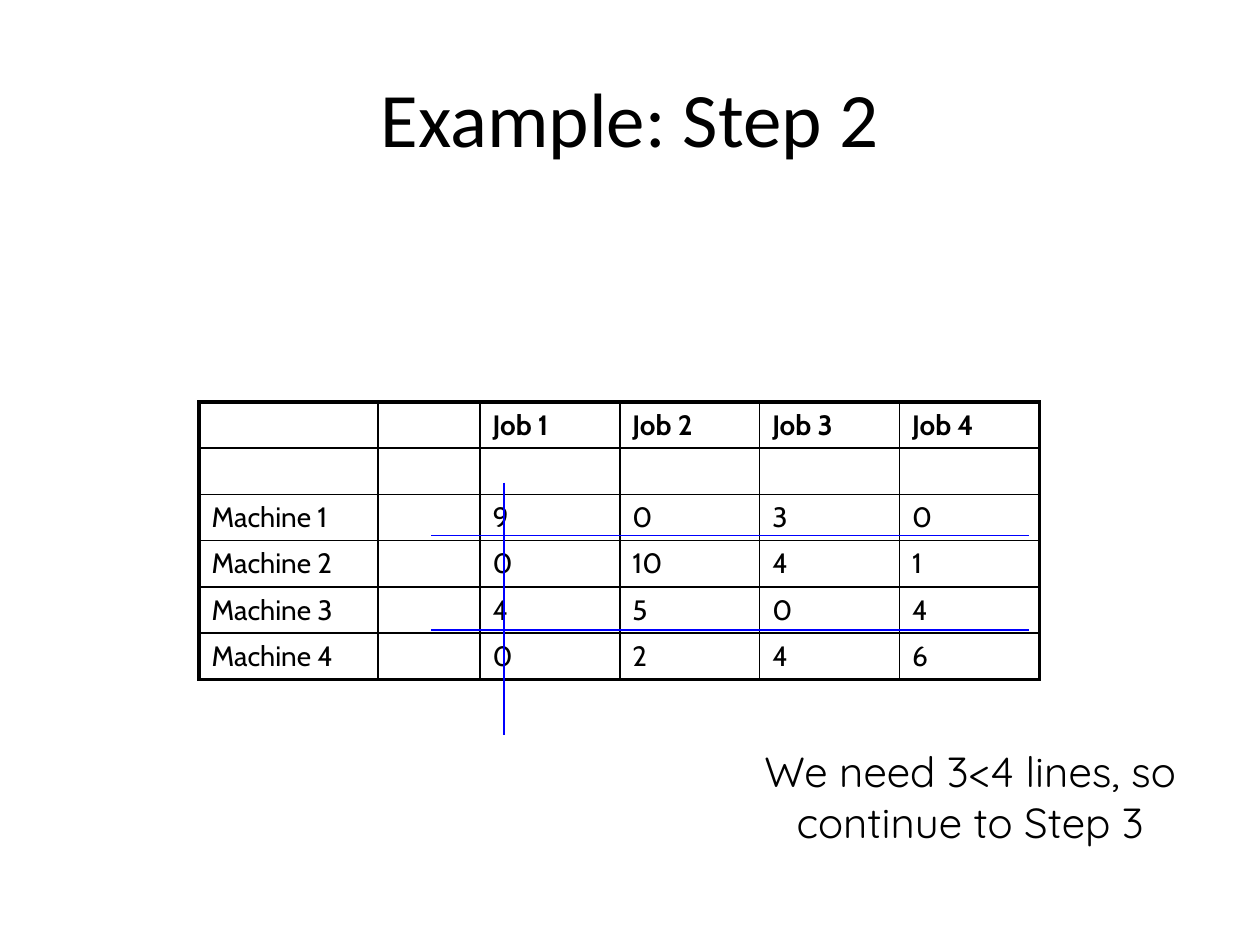
from dataclasses import dataclass
from lxml.etree import SubElement as Sub
from pptx import Presentation as Deck
from pptx.dml.color import RGBColor as Color
from pptx.enum.shapes import MSO_CONNECTOR as Link
from pptx.enum.text import MSO_ANCHOR as Anchor, PP_ALIGN as Align
from pptx.oxml.ns import qn
from pptx.util import Inches, Pt


@dataclass(frozen=True)
class Theme:
    ink: str = "000000"
    mark: str = "0000FF"
    head: str = "Calibri"
    body: str = "Cabin"
    note: str = "Quicksand"
    big: int = 44
    mid: int = 24
    small: int = 16
    thick: float = 2.25
    rule: float = 1
    thin: float = 0.75


def write(frame, text, font, size, color, bold=False, align=Align.LEFT, anchor=Anchor.TOP):
    frame.word_wrap = True
    frame.vertical_anchor = anchor
    para = frame.paragraphs[0]
    para.alignment = align
    if not text:
        Sub(para._p, qn("a:endParaRPr"), sz=str(size * 100))
        return
    run = para.add_run()
    run.text = text
    face = run.font
    face.name, face.size, face.bold = font, Pt(size), bold
    face.color.rgb = Color.from_string(color)


def edge(cell, side, width, color):
    line = Sub(cell._tc.get_or_add_tcPr(), qn("a:ln" + side), w=str(Pt(width)))
    fill = Sub(line, qn("a:solidFill"))
    Sub(fill, qn("a:srgbClr"), val=color)


class Page:
    def __init__(self, slide, theme):
        self.shapes = slide.shapes
        self.theme = theme

    def text(self, text, box, font, size, **form):
        shape = self.shapes.add_textbox(*map(Inches, box))
        write(shape.text_frame, text, font, size, self.theme.ink, align=Align.CENTER, **form)

    def line(self, x1, y1, x2, y2):
        line = self.shapes.add_connector(Link.STRAIGHT, *map(Inches, (x1, y1, x2, y2)))
        line.line.color.rgb = Color.from_string(self.theme.mark)
        line.line.width = Pt(self.theme.thin)
        Sub(line._element.spPr, qn("a:effectLst"))

    def table(self, rows, left, top, wide, high):
        look = self.theme
        last, end = len(rows) - 1, len(wide) - 1
        size = (left, top, sum(wide), high * len(rows))
        grid = self.shapes.add_table(len(rows), len(wide), *map(Inches, size)).table
        grid.first_row = grid.horz_banding = False
        for col, width in zip(grid.columns, wide):
            col.width = Inches(width)
        for i, row in enumerate(rows):
            grid.rows[i].height = Inches(high)
            for j, text in enumerate(row):
                cell = grid.cell(i, j)
                outer = {"L": j == 0, "R": j == end, "T": i == 0, "B": i == last}
                for side, out in outer.items():
                    edge(cell, side, look.thick if out else look.rule, look.ink)
                cell.fill.background()
                write(cell.text_frame, text, look.body, look.small, look.ink, bold=i == 0)


def main():
    deck = Deck()
    deck.slide_width, deck.slide_height = Inches(10), Inches(7.5)
    look = Theme()
    page = Page(deck.slides.add_slide(deck.slide_layouts[6]), look)

    page.text("Example: Step 2", (0.5, 0.3, 9, 1.25), look.head, look.big, anchor=Anchor.MIDDLE)

    costs = [(9, 0, 3, 0), (0, 10, 4, 1), (4, 5, 0, 4), (0, 2, 4, 6)]
    rows = [["", ""] + [f"Job {n}" for n in range(1, 5)], [""] * 6]
    rows += [[f"Machine {n}", "", *map(str, cost)] for n, cost in enumerate(costs, 1)]
    page.table(rows, 1.58, 3.19, [1.42, 0.81] + [1.11] * 4, 2.2 / len(rows))

    for y in (4.25, 5):
        page.line(3.42, y, 8.17, y)
    page.line(4, 3.83, 4, 5.83)

    page.text("We need 3<4 lines, so continue to Step 3", (5.65, 5.87, 4.1, 0.9), look.note, look.mid)
    deck.save("out.pptx")


if __name__ == "__main__":
    main()
